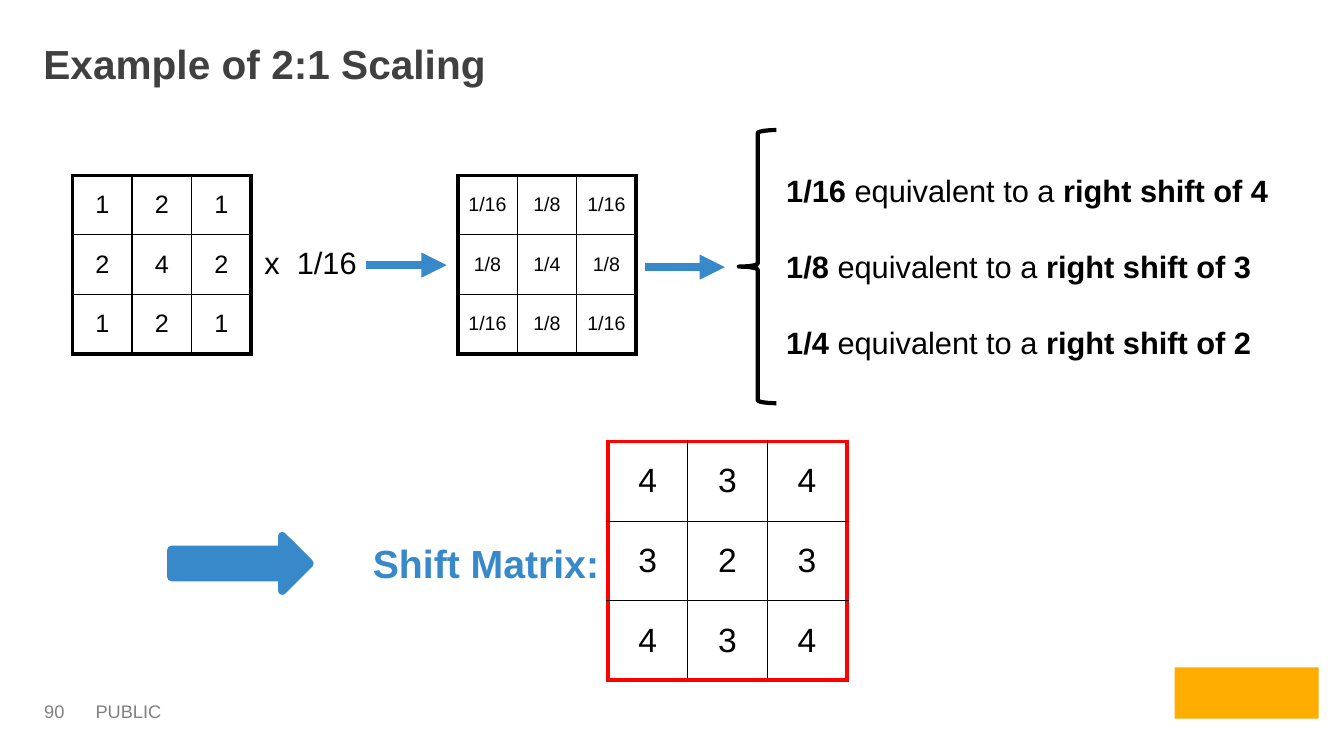
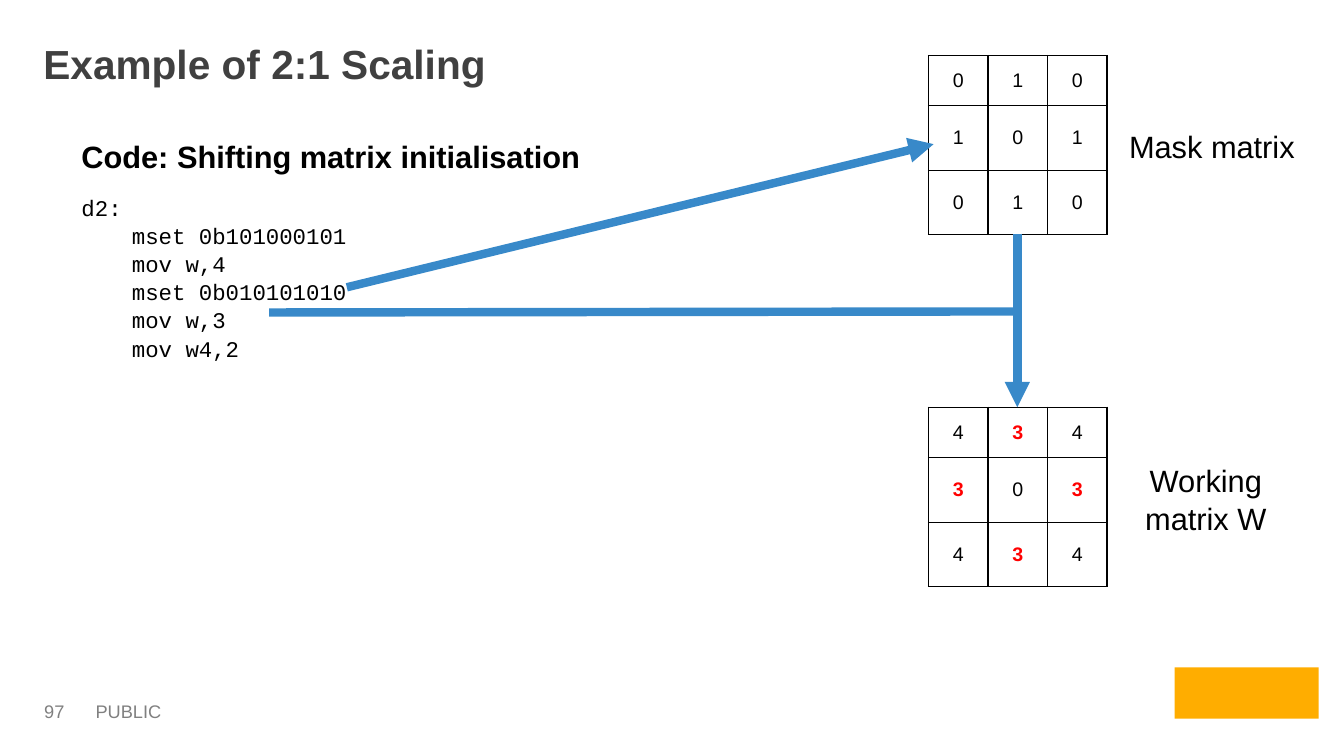
from dataclasses import dataclass
from lxml import etree
from pptx import Presentation
from pptx.dml.color import RGBColor
from pptx.enum.shapes import MSO_CONNECTOR, MSO_SHAPE
from pptx.enum.text import MSO_ANCHOR, MSO_AUTO_SIZE, PP_ALIGN
from pptx.oxml.ns import qn
from pptx.util import Emu, Pt

LEFT, MID = PP_ALIGN.LEFT, PP_ALIGN.CENTER
TOP, CENTER = MSO_ANCHOR.TOP, MSO_ANCHOR.MIDDLE
FIXED = MSO_AUTO_SIZE.NONE
STRAIGHT = MSO_CONNECTOR.STRAIGHT
RECT, ARROW, BRACE = MSO_SHAPE.RECTANGLE, MSO_SHAPE.RIGHT_ARROW, MSO_SHAPE.LEFT_BRACE
TITLE_ONLY = 5


@dataclass(frozen=True)
class Theme:
    sans: str = "Arial"
    mono: str = "Courier New"
    ink: str = "000000"
    head: str = "404040"
    gray: str = "808080"
    blue: str = "3889C9"
    red: str = "FF0000"
    gold: str = "FFAD00"
    title: int = 29
    label: int = 28
    body: int = 22
    code: int = 16
    foot: int = 13
    lead: float = 1.05
    thick: int = 6
    edge: int = 3
    hair: int = 1


T = Theme()

# Content: lengths in px, 100 to the inch
SIZE = (1333, 750)
TITLE = "Example of 2:1 Scaling"
TITLE_BOX = (33, 31, 1275, 72)
FOOT = "PUBLIC"
FOOT_BOX = (85, 689, 398, 34)
PAGE_BOX = (34, 689, 65, 34)
MARK_BOX = (1165, 662, 143, 51)

KERNEL = ["1 2 1", "2 4 2", "1 2 1"]
SCALED = ["1/16 1/8 1/16", "1/8 1/4 1/8", "1/16 1/8 1/16"]
SHIFT = ["4 3 4", "3 2 3", "4 3 4"]
MASK = ["0 1 0", "1 0 1", "0 1 0"]
WORK = ["4 3 4", "3 0 3", "4 3 4"]
EVEN, BIG, SHORT = (59,) * 3, (79,) * 3, (50, 64, 64)

RULES = [
    [("1/16", True), (" equivalent to a ", False), ("right shift of 4", True)],
    [("1/8", True), (" equivalent to a ", False), ("right shift of 3", True)],
    [("1/4 ", True), ("equivalent to a ", False), ("right shift of 2", True)],
]
CODE_HEAD = "Code: Shifting matrix initialisation"
CODE = ["d2:", "mset 0b101000101", "mov w,4", "mset 0b010101010", "mov w,3", "mov w4,2"]


# Helpers
def px(n):
    return Emu(n * 9144)


def area(box):
    return [px(n) for n in box]


def rgb(tone):
    return RGBColor.from_string(tone)


def put(para, text, size, tone=T.ink, bold=False, face=T.sans):
    run = para.add_run()
    run.text = text
    font = run.font
    font.name, font.size, font.bold = face, Pt(size), bold
    font.color.rgb = rgb(tone)


def write(slide, box, paras, size, tone=T.ink, face=T.sans,
          align=LEFT, anchor=TOP, gap=0, indent=0):
    """Add a text box; each paragraph is a list of (text, bold) runs."""
    frame = slide.shapes.add_textbox(*area(box)).text_frame
    frame.word_wrap = True
    frame.vertical_anchor = anchor
    for i, runs in enumerate(paras):
        para = frame.add_paragraph() if i else frame.paragraphs[0]
        para.alignment, para.line_spacing = align, T.lead
        if i and gap:
            para.space_before = Pt(gap)
        if i and indent:
            props = para._p.get_or_add_pPr()
            props.set("marL", str(px(indent)))
            props.set("indent", "0")
        for text, bold in runs:
            put(para, text, size, tone, bold, face)


def plain(text, bold=False):
    return [[(text, bold)]]


def line(slide, start, end, tip=True):
    link = slide.shapes.add_connector(STRAIGHT, *area(start + end))
    link.line.color.rgb = rgb(T.blue)
    link.line.width = Pt(T.thick)
    if tip:
        etree.SubElement(link.line._get_or_add_ln(), qn("a:tailEnd"), type="triangle")
    etree.SubElement(link._element.spPr, qn("a:effectLst"))


def shape(slide, kind, box, fill=None, edge=None, width=0):
    item = slide.shapes.add_shape(kind, *area(box))
    item.shadow.inherit = False
    if fill:
        item.fill.solid()
        item.fill.fore_color.rgb = rgb(fill)
    else:
        item.fill.background()
    if edge:
        item.line.color.rgb = rgb(edge)
        item.line.width = Pt(width)
        etree.SubElement(item.line._get_or_add_ln(), qn("a:round"))
    else:
        item.line.fill.background()


def border(cell, sides):
    """Set left, right, top and bottom borders from (tone, width) pairs."""
    props = cell._tc.get_or_add_tcPr()
    for i, (side, (tone, width)) in enumerate(zip("LRTB", sides)):
        ln = etree.Element(qn("a:ln" + side), w=str(Pt(width)))
        fill = etree.SubElement(ln, qn("a:solidFill"))
        etree.SubElement(fill, qn("a:srgbClr"), val=tone)
        props.insert(i, ln)


def matrix(slide, left, top, data, cols, rows, size,
           edge=(T.ink, T.edge), hot=None):
    """Draw a grid with an outer edge; cells equal to hot are red and bold."""
    box = (left, top, sum(cols), sum(rows))
    table = slide.shapes.add_table(len(rows), len(cols), *area(box)).table
    table.first_row = table.horz_banding = False
    for i, wide in enumerate(cols):
        table.columns[i].width = px(wide)
    thin = (T.ink, T.hair)
    for r, row in enumerate(data):
        table.rows[r].height = px(rows[r])
        for c, text in enumerate(row.split()):
            cell = table.cell(r, c)
            cell.fill.background()
            cell.margin_left = cell.margin_right = 0
            cell.vertical_anchor = CENTER
            outer = (c == 0, c == len(cols) - 1, r == 0, r == len(rows) - 1)
            border(cell, [edge if out else thin for out in outer])
            para = cell.text_frame.paragraphs[0]
            para.alignment = MID
            mark = text == hot
            put(para, text, size, T.red if mark else T.ink, mark)


def base(deck, page):
    """Start a slide with the shared title, footer and corner mark."""
    slide = deck.slides.add_slide(deck.slide_layouts[TITLE_ONLY])
    head = slide.shapes.title
    head.left, head.top, head.width, head.height = area(TITLE_BOX)
    frame = head.text_frame
    frame.auto_size, frame.vertical_anchor = FIXED, TOP
    para = frame.paragraphs[0]
    para.alignment, para.line_spacing = LEFT, T.lead
    put(para, TITLE, T.title, T.head, True)
    write(slide, FOOT_BOX, plain(FOOT), T.foot, T.gray)
    write(slide, PAGE_BOX, plain(page), T.foot, T.gray)
    shape(slide, RECT, MARK_BOX, T.gold)
    return slide


# Slides
def scaling(deck):
    slide = base(deck, "90")
    # Kernel to shift rules
    matrix(slide, 72, 174, KERNEL, EVEN, EVEN, 18)
    write(slide, (247, 235, 122, 55), plain("x  1/16"), T.body, align=MID)
    line(slide, (363, 263), (443, 263))
    matrix(slide, 454, 174, SCALED, EVEN, EVEN, 14)
    line(slide, (640, 265), (719, 265))
    shape(slide, BRACE, (733, 129, 37, 271), edge=T.ink, width=T.edge)
    write(slide, (770, 164, 523, 187), RULES, T.body, gap=26.5)
    # Resulting shift matrix
    shape(slide, ARROW, (170, 532, 137, 54), T.blue, T.blue, T.thick)
    write(slide, (360, 532, 255, 50), plain("Shift Matrix:", True), T.label,
          T.blue, anchor=CENTER)
    matrix(slide, 603, 438, SHIFT, BIG, BIG, 24, (T.red, T.edge))


def masking(deck):
    slide = base(deck, "97")
    # Matrices and their labels
    thin = (T.ink, T.hair)
    matrix(slide, 921, 55, MASK, EVEN, SHORT, 14, thin)
    matrix(slide, 921, 404, WORK, EVEN, SHORT, 14, thin, hot="3")
    write(slide, (1104, 120, 196, 47), plain("Mask matrix"), T.body, align=MID)
    write(slide, (1098, 451, 196, 83), plain("Working matrix W"), T.body, align=MID)
    # Code listing
    write(slide, (71, 130, 974, 54), plain(CODE_HEAD, True), T.body)
    write(slide, (71, 186, 641, 172), [[(row, False)] for row in CODE], T.code,
          face=T.mono, indent=50)
    # Links from code to matrices
    line(slide, (1009, 232), (1009, 404))
    line(slide, (267, 310), (1011, 309), tip=False)
    line(slide, (344, 285), (926, 143))


def main():
    deck = Presentation()
    deck.slide_width, deck.slide_height = area(SIZE)
    scaling(deck)
    masking(deck)
    deck.save("out.pptx")


if __name__ == "__main__":
    main()
